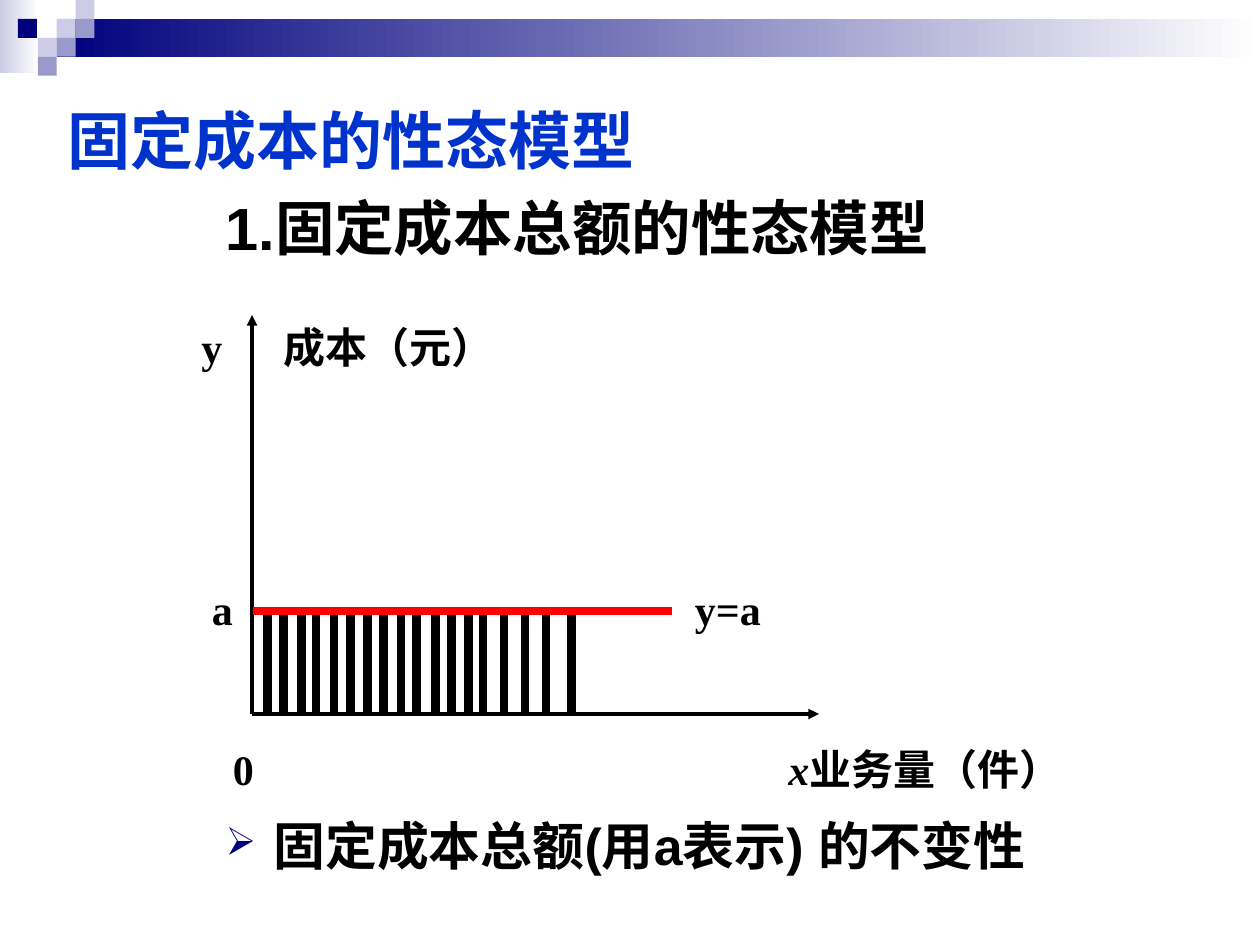
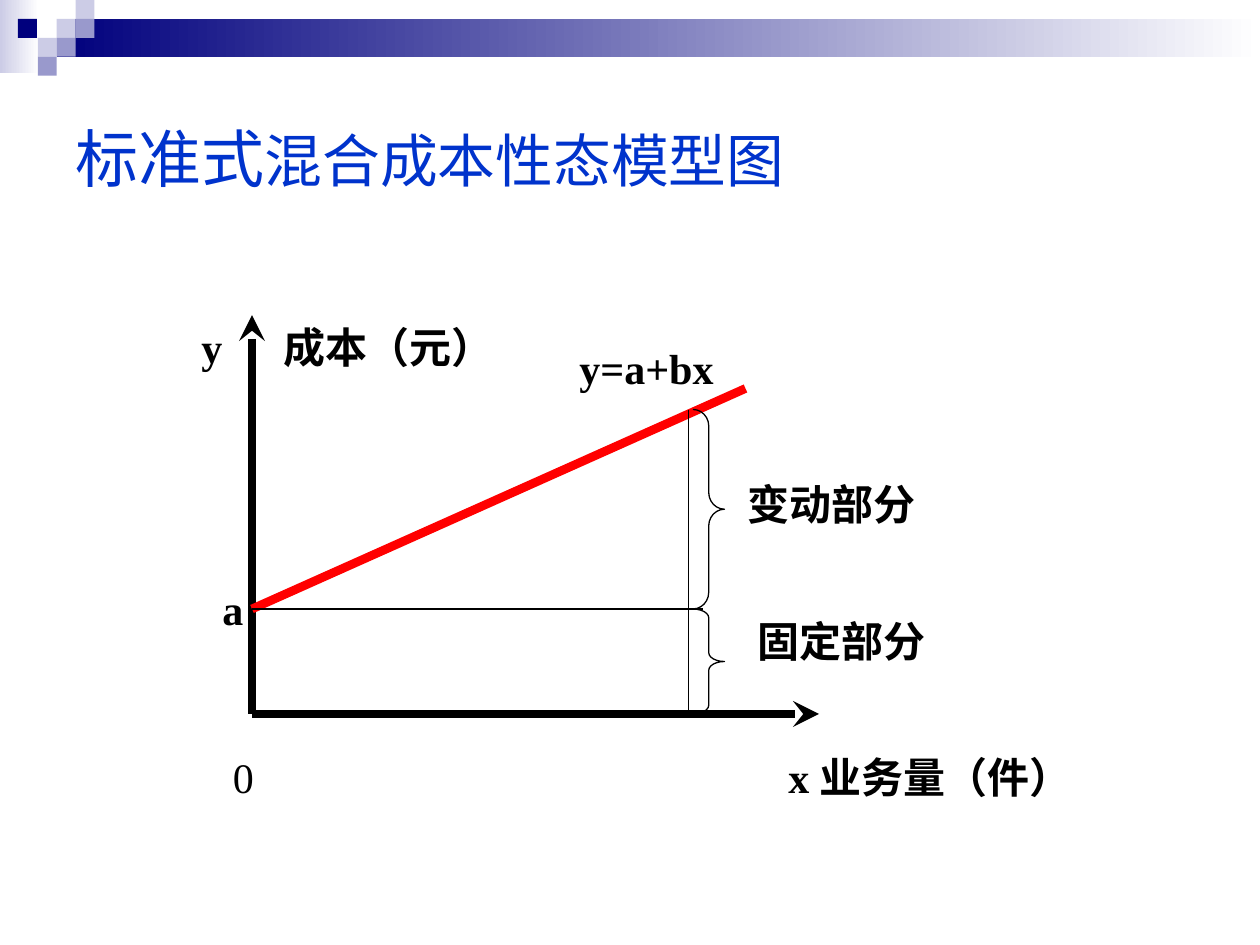
from lxml.etree import SubElement
from pptx import Presentation
from pptx.dml.color import RGBColor as RGB
from pptx.enum.shapes import MSO_CONNECTOR as CON, MSO_SHAPE as SHP
from pptx.enum.text import MSO_ANCHOR as ANC, MSO_AUTO_SIZE as FIT, PP_ALIGN as AL
from pptx.oxml.ns import qn
from pptx.util import Inches, Pt

HUES = dict(ink="000000", red="FF0000", head="0033CC", navy="00007D",
            mid="9999CC", pale="CCCCE6", white="FFFFFF")
COLS, ROWS = 120, 90
WIDE, HIGH = Inches(10), Inches(7.5)
SERIF, SANS, HAN = "Times New Roman", "Arial", "Noto Sans CJK SC"

# Shared chart frame, in grid cells
LEFT, BASE, TOP, RIGHT, FIXED = 24, 68, 30, 78, 58
HATCH = [1.5, 3, 4.7, 6.1, 7.8, 9.4, 11, 12.5, 14.2, 15.7,
         17.5, 19, 20.6, 22, 24, 26, 28]
TILE = 1.8


def hue(name):
    return RGB.from_string(HUES[name])


def put(item, vals):
    for key, val in vals.items():
        setattr(item, key, val)


class Deck:
    """Holds the style and the current slide; lengths are grid cells."""

    def __init__(self):
        self.prs = Presentation()
        put(self.prs, dict(slide_width=WIDE, slide_height=HIGH))
        self.page = None

    def x(self, cols):
        return round(WIDE * cols / COLS)

    def y(self, rows):
        return round(HIGH * rows / ROWS)

    def box(self, left, top, wide, high):
        return self.x(left), self.y(top), self.x(wide), self.y(high)

    def start(self, runs, left, top):
        self.page = self.prs.slides.add_slide(self.prs.slide_layouts[5])
        title = self.page.shapes.title
        spot = self.box(left, top, 108, 18)
        put(title, dict(zip(("left", "top", "width", "height"), spot)))
        self.text(title.text_frame, runs, color="head")
        title.text_frame.vertical_anchor = ANC.MIDDLE

    def text(self, frame, runs, color="ink"):
        """Fill the first paragraph with (text, font values) runs."""
        put(frame, dict(word_wrap=True, auto_size=FIT.NONE))
        para = frame.paragraphs[0]
        para.alignment = AL.LEFT
        for words, form in runs:
            run = para.add_run()
            run.text = words
            put(run.font, dict(name=SERIF, size=Pt(24), bold=True) | form)
            run.font.color.rgb = hue(color)
            SubElement(run._r.get_or_add_rPr(), qn("a:ea"), typeface=HAN)
        return para

    def label(self, runs, left, top, wide, high=6):
        if isinstance(runs, str):
            runs = [(runs, {})]
        spot = self.box(left, top, wide, high)
        return self.text(self.page.shapes.add_textbox(*spot).text_frame, runs)

    def bullet(self, runs, *spot):
        para = self.label(runs, *spot)
        para.line_spacing = 0.9
        props = para._p.get_or_add_pPr()
        props.set("marL", str(Inches(0.38)))
        props.set("indent", str(-Inches(0.38)))
        tint = SubElement(props, qn("a:buClr"))
        SubElement(tint, qn("a:srgbClr"), val=HUES["navy"])
        SubElement(props, qn("a:buSzPct"), val="75000")
        SubElement(props, qn("a:buChar"), char="➢")

    def line(self, x1, y1, x2, y2, width=5, color="ink", tip=None):
        wire = self.page.shapes.add_connector(
            CON.STRAIGHT, self.x(x1), self.y(y1), self.x(x2), self.y(y2))
        wire.line.width = Pt(width)
        wire.line.color.rgb = hue(color)
        props = wire.element.spPr
        if tip:
            SubElement(props.find(qn("a:ln")), qn("a:tailEnd"), type=tip)
        SubElement(props, qn("a:effectLst"))

    def rect(self, left, top, wide, high, color, fade=False):
        """Draw a plain block, or one that fades to white on its right."""
        item = self.page.shapes.add_shape(
            SHP.RECTANGLE, *self.box(left, top, wide, high))
        item.shadow.inherit = False
        item.line.fill.background()
        if fade:
            item.fill.gradient()
            item.fill.gradient_angle = 180
            for stop, name in zip(item.fill.gradient_stops, ("white", color)):
                stop.color.rgb = hue(name)
        else:
            item.fill.solid()
            item.fill.fore_color.rgb = hue(color)
        return item

    def brace(self, left, top, wide, high, curl):
        item = self.page.shapes.add_shape(
            SHP.RIGHT_BRACE, *self.box(left, top, wide, high))
        item.shadow.inherit = False
        item.fill.background()
        item.line.width = Pt(0.75)
        item.line.color.rgb = hue("ink")
        item.adjustments[0] = curl

    def band(self):
        """Draw the top band and move it to the master, for all slides."""
        parts = [self.rect(0, 0, 3.7, 7, "pale", True),
                 self.rect(5.4, TILE, 114.6, 3.6, "navy", True)]
        tiles = [(3, 1, "pale"), (4, 0, "pale"), (4, 1, "mid"), (2, 2, "pale"),
                 (0.95, 1, "navy"), (3, 2, "mid"), (2, 3, "mid")]
        parts += [self.rect(col * TILE, row * TILE, TILE, TILE, color)
                  for col, row, color in tiles]
        tree = self.prs.slide_master.shapes.element
        for num, part in enumerate(parts, 101):
            part.element.nvSpPr.cNvPr.set("id", str(num))
            tree.append(part.element)

    def axes(self, width, tip):
        self.line(LEFT, BASE, RIGHT, BASE, width, tip=tip)
        self.line(LEFT, BASE, LEFT, TOP, width, tip=tip)
        self.label("y", 18, TOP, 5)
        self.label("成本（元）", 25.8, TOP, 26)


def fixed(deck):
    deck.start([("固定成本的性态模型", dict(size=Pt(36)))], 5.2, 4.3)
    deck.band()
    deck.label([("1.固定成本总额的性态模型", dict(name=SANS, size=Pt(34)))],
               20.3, 17.6, 75, 9.5)
    deck.axes(2, "triangle")
    deck.label("a", 19, 55, 4)
    for step in HATCH:
        deck.line(LEFT + step, FIXED, LEFT + step, BASE)
    deck.line(54.4, 58.2, 54.4, 68.2)
    deck.line(LEFT + 0.1, 58.2, 64, 58.2, color="red")
    deck.label("y=a", 65, 55, 9.5)
    deck.label("0", 21, 70.2, 5)
    deck.label([("x", dict(italic=True)), ("业务量（件）", {})], 73.9, 70.2, 38)
    deck.bullet([("固定成本总额(用a表示) 的不变性",
                  dict(name=SANS, size=Pt(29.6)))], 20.3, 77.6, 90, 8)


def mixed(deck):
    plain = dict(name=SANS, bold=False)
    deck.start([("标准式", plain | dict(size=Pt(36))),
                ("混合成本性态模型图", plain | dict(size=Pt(33)))], 6, 6)
    deck.axes(5, "stealth")
    deck.label("a", 20, 55, 6)
    deck.line(LEFT, FIXED, 71, 37, color="red")
    deck.line(LEFT, FIXED, 67, FIXED, 0.75)
    deck.line(65.6, 39, 65.6, BASE, 0.75)
    deck.brace(66, FIXED, 3, BASE - FIXED, 0.28)
    deck.brace(66, 39, 3, FIXED - 39, 0.53)
    deck.label("y=a+bx", 54, 32, 18)
    deck.label("变动部分", 70, 45, 19)
    deck.label("固定部分", 71, 58, 19)
    deck.label([("0", dict(bold=False))], 21, 71, 5)
    deck.label("x 业务量（件）", 73.9, 71, 38)


def main():
    deck = Deck()
    fixed(deck)
    mixed(deck)
    deck.prs.save("out.pptx")


if __name__ == "__main__":
    main()
